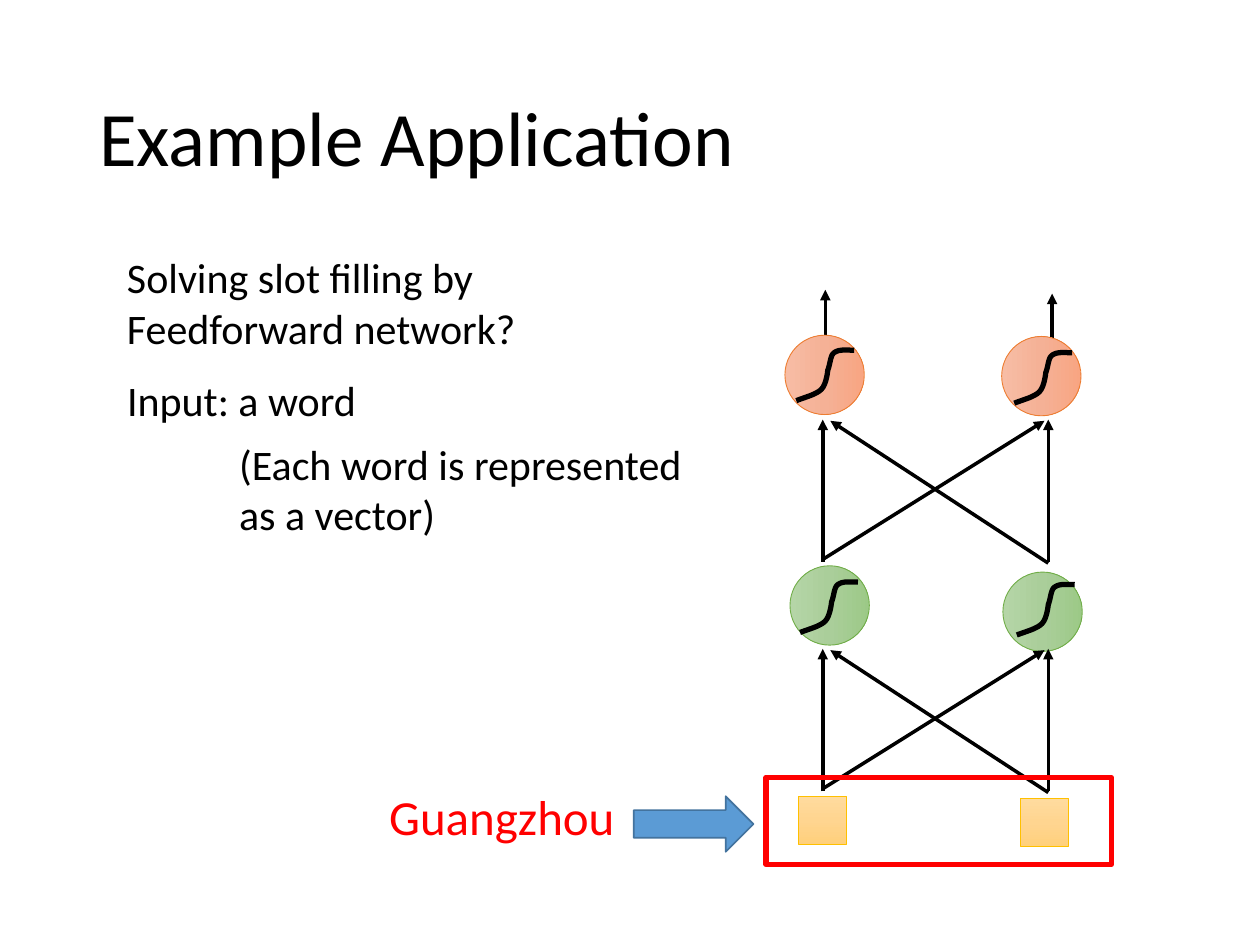
from copy import deepcopy
from dataclasses import dataclass

from lxml.etree import SubElement
from pptx import Presentation
from pptx.dml.color import RGBColor as RGB
from pptx.enum.shapes import MSO_CONNECTOR as Conn, MSO_SHAPE as Shape
from pptx.enum.text import MSO_ANCHOR as Anchor
from pptx.oxml.ns import qn
from pptx.util import Inches, Pt


@dataclass(frozen=True)
class Tint:
    stops: tuple[str, str, str]
    line: str


@dataclass(frozen=True)
class Theme:
    font: str = "Calibri"
    ink: str = "000000"
    accent: str = "FF0000"
    arrow_fill: str = "5B9BD5"
    arrow_line: str = "43739E"
    title: int = 44
    label: int = 28
    body: int = 24
    input: Tint = Tint(("FFDB9E", "FFD590", "FFD07C"), "FFC000")
    hidden: Tint = Tint(("B5D5A7", "AACE9A", "9CC987"), "70AD47")
    output: Tint = Tint(("F7BDA5", "F5B196", "F8A582"), "ED7D31")


@dataclass(frozen=True)
class Label:
    text: str
    x: float
    y: float
    w: float
    h: float
    size: int
    color: str
    wrap: bool = True
    anchor: Anchor = Anchor.TOP
    spacing: float = 1.0


@dataclass(frozen=True)
class Neuron:
    x: float
    y: float
    curve_x: float
    curve_y: float
    tint: Tint


THEME = Theme()
NEURON_SIZE = 0.63
INPUT_SIZE = 0.38
LAYER_STEP = 1.82

LABELS = [
    Label("Example Application", 0.69, 0.4, 8.62, 1.45, THEME.title, THEME.ink,
          anchor=Anchor.MIDDLE, spacing=0.9),
    Label("Solving slot filling by Feedforward network?", 0.91, 1.95, 3.97, 0.91,
          THEME.body, THEME.ink),
    Label("Input: a word", 0.91, 2.92, 2.19, 0.5, THEME.body, THEME.ink),
    Label("(Each word is represented as a vector)", 1.8, 3.43, 3.76, 0.91,
          THEME.body, THEME.ink),
    Label("Guangzhou", 2.99, 6.19, 2.01, 0.57, THEME.label, THEME.accent, wrap=False),
]
NEURONS = [
    Neuron(6.27, 4.49, 6.35, 4.62, THEME.hidden),
    Neuron(7.96, 4.54, 8.07, 4.64, THEME.hidden),
    Neuron(6.23, 2.66, 6.32, 2.78, THEME.output),
    Neuron(7.95, 2.67, 8.05, 2.8, THEME.output),
]
INPUTS = [(6.34, 6.32), (8.1, 6.34)]
OUTPUT_ARROWS = [(8.35, 3.05, 8.35, 2.33), (6.55, 3.01, 6.55, 2.3)]
LAYER_LINKS = [
    (8.32, 6.29, 6.59, 5.16),
    (6.53, 6.26, 8.29, 5.16),
    (8.32, 6.28, 8.32, 5.15),
    (6.53, 6.28, 6.53, 5.15),
]
SIGMOID = [
    ((0, 0.4), (0.08, 0.37), (0.16, 0.35), (0.2, 0.31)),
    ((0.2, 0.31), (0.24, 0.27), (0.25, 0.16), (0.25, 0.16)),
    ((0.25, 0.16), (0.27, 0.11), (0.27, 0.04), (0.3, 0.02)),
    ((0.3, 0.02), (0.34, -0.01), (0.4, 0), (0.46, 0)),
]


def add_label(s, label: Label) -> None:
    box = s.shapes.add_textbox(*map(Inches, (label.x, label.y, label.w, label.h)))
    tf = box.text_frame
    tf.word_wrap = label.wrap
    tf.vertical_anchor = label.anchor
    p = tf.paragraphs[0]
    p.line_spacing = label.spacing
    r = p.add_run()
    r.text = label.text
    r.font.name = THEME.font
    r.font.size = Pt(label.size)
    r.font.color.rgb = RGB.from_string(label.color)


def set_line(sp, color: str, width: float) -> None:
    sp.line.color.rgb = RGB.from_string(color)
    sp.line.width = Pt(width)


def add_block(s, kind: Shape, x: float, y: float, w: float, h: float,
              line: str, width: float):
    sp = s.shapes.add_shape(kind, *map(Inches, (x, y, w, h)))
    sp.shadow.inherit = False
    sp.fill.background()
    set_line(sp, line, width)
    return sp


def add_tinted(s, kind: Shape, x: float, y: float, size: float, tint: Tint):
    sp = add_block(s, kind, x, y, size, size, tint.line, 0.5)
    sp.fill.gradient()
    sp.fill.gradient_angle = 270
    first = next(sp._element.spPr.iter(qn("a:gs")))
    first.addnext(deepcopy(first))
    for stop, position, color in zip(sp.fill.gradient_stops, (0, 0.5, 1), tint.stops):
        stop.position = position
        stop.color.rgb = RGB.from_string(color)
    return sp


def add_arrow(s, x1: float, y1: float, x2: float, y2: float) -> None:
    cx = s.shapes.add_connector(Conn.STRAIGHT, *map(Inches, (x1, y1, x2, y2)))
    set_line(cx, THEME.ink, 2)
    SubElement(cx.line._get_or_add_ln(), qn("a:tailEnd"), type="triangle")
    SubElement(cx._element.spPr, qn("a:effectLst"))


def bezier(curve: tuple, t: float) -> tuple[float, float]:
    weights = ((1 - t) ** 3, 3 * t * (1 - t) ** 2, 3 * t * t * (1 - t), t ** 3)
    return (sum(w * pt[0] for w, pt in zip(weights, curve)),
            sum(w * pt[1] for w, pt in zip(weights, curve)))


def add_sigmoid(s, x: float, y: float) -> None:
    steps = 8
    points = [SIGMOID[0][0]]
    points += [bezier(c, i / steps) for c in SIGMOID for i in range(1, steps + 1)]
    placed = [(Inches(x + dx), Inches(y + dy)) for dx, dy in points]
    builder = s.shapes.build_freeform(*placed[0])
    builder.add_line_segments(placed[1:], close=False)
    sp = builder.convert_to_shape()
    sp.shadow.inherit = False
    sp.fill.background()
    set_line(sp, THEME.ink, 3)


def main() -> None:
    prs = Presentation()
    prs.slide_width, prs.slide_height = Inches(10), Inches(7.5)
    s = prs.slides.add_slide(prs.slide_layouts[6])

    for arrow in OUTPUT_ARROWS:
        add_arrow(s, *arrow)
    for x, y in INPUTS:
        add_tinted(s, Shape.RECTANGLE, x, y, INPUT_SIZE, THEME.input)
    for n in NEURONS:
        add_tinted(s, Shape.OVAL, n.x, n.y, NEURON_SIZE, n.tint).rotation = 270
    for rise in (0, LAYER_STEP):
        for x1, y1, x2, y2 in LAYER_LINKS:
            add_arrow(s, x1, y1 - rise, x2, y2 - rise)
    for n in NEURONS:
        add_sigmoid(s, n.curve_x, n.curve_y)

    arrow = add_block(s, Shape.RIGHT_ARROW, 5.03, 6.32, 0.95, 0.44, THEME.arrow_line, 1)
    arrow.fill.solid()
    arrow.fill.fore_color.rgb = RGB.from_string(THEME.arrow_fill)
    add_block(s, Shape.RECTANGLE, 6.08, 6.17, 2.74, 0.69, THEME.accent, 3)
    for label in LABELS:
        add_label(s, label)

    prs.save("out.pptx")


if __name__ == "__main__":
    main()
